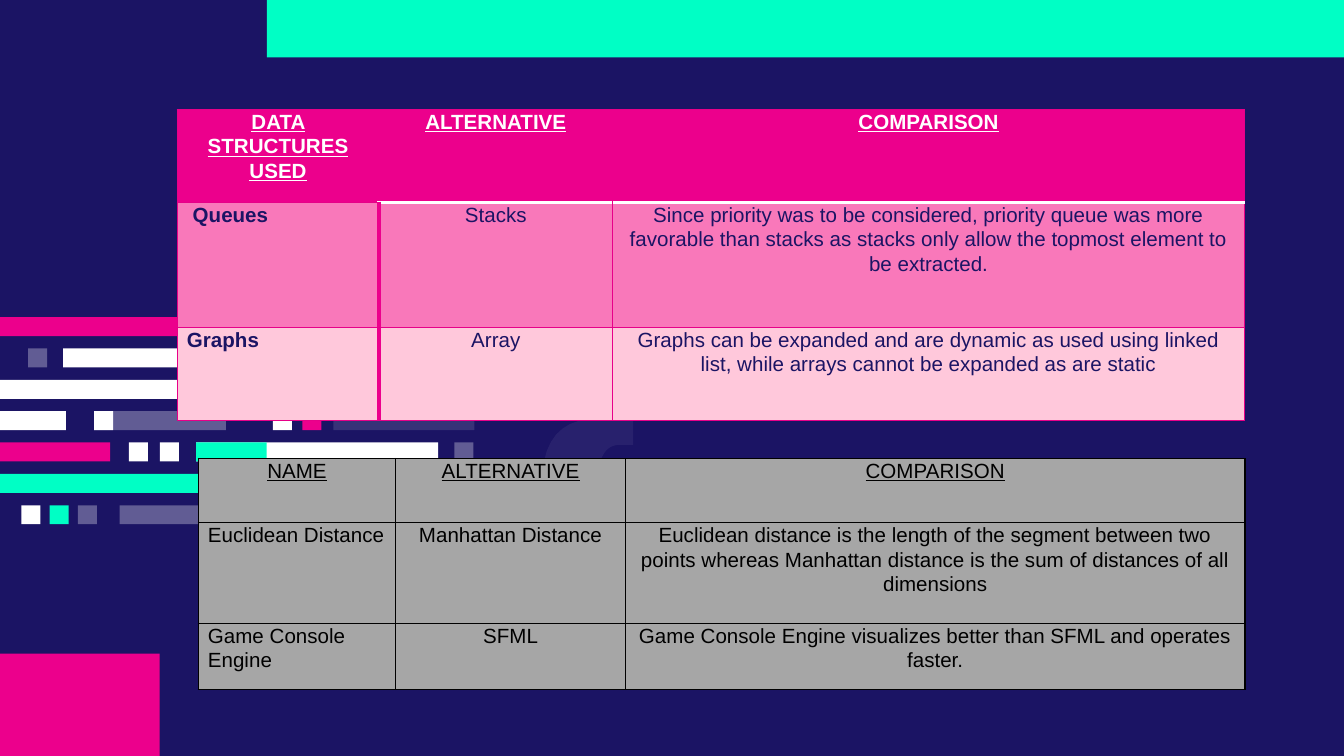
import lxml.etree
import pptx
import pptx.dml.color
import pptx.enum.shapes
import pptx.enum.text
import pptx.oxml.ns
import pptx.util

Pt = pptx.util.Pt

COLORS = {
    "navy": "1B1464", "mint": "00FFC5", "pink": "EC008C", "edge": "E70089",
    "rose": "F978BA", "blush": "FFC8DB", "white": "FFFFFF", "black": "000000",
    "gray": "A6A6A6",
}

# Content
STRUCTURES = [
    ["DATA STRUCTURES USED", "ALTERNATIVE", "COMPARISON"],
    [" Queues", "Stacks",
     "Since priority was to be considered, priority queue was more favorable than "
     "stacks as stacks only allow the topmost element to be extracted."],
    ["Graphs", "Array",
     "Graphs can be expanded and are dynamic as used using linked list, "
     "while arrays cannot be expanded as are static"],
]
ALGORITHMS = [
    ["NAME", "ALTERNATIVE", "COMPARISON"],
    ["Euclidean Distance", "Manhattan Distance",
     "Euclidean distance is the length of the segment between two points whereas "
     "Manhattan distance is the sum of distances of all dimensions"],
    ["Game Console Engine", "SFML",
     "Game Console Engine visualizes better than SFML and operates faster."],
]

# Code-like bars: one list per line of (left, width, color, opacity in percent)
BAR_TOP, BAR_STEP, BAR_SIZE = 169.9, 16.8, 10.2
BAR_LINES = [
    [(0, 166.3, "pink", 100)],
    [(33.8, 129.6, "white", 100), (15.1, BAR_SIZE, "white", 31)],
    [(0, 100.8, "white", 100)],
    [(162, BAR_SIZE, "pink", 100), (146.2, BAR_SIZE, "white", 100),
     (50.4, BAR_SIZE, "white", 100), (178.6, 75.6, "white", 13),
     (50.4, 70.6, "white", 31), (0, 35.3, "white", 100)],
    [(105.1, 129.6, "white", 100), (105.1, 37.8, "mint", 100),
     (0, 59, "pink", 100), (85.7, BAR_SIZE, "white", 100),
     (69.1, BAR_SIZE, "white", 100), (243.4, BAR_SIZE, "white", 31)],
    [(0, 115.9, "mint", 100)],
    [(41.8, BAR_SIZE, "white", 31), (26.6, BAR_SIZE, "mint", 100),
     (11.5, BAR_SIZE, "white", 100), (64.1, 123.1, "white", 31)],
]

# Upper half of the brace: a step of one point is a line, of three a Bezier curve
BRACE_MIDDLE = 225
BRACE_STEPS = [
    [(339.1, 211.7)],
    [(332.6, 211.7)],
    [(328.3, 211.7), (325.4, 210.2), (323.3, 206.6)],
    [(321.1, 203), (319.7, 198.7), (319.7, 192.2)],
    [(319.7, 176.4)],
    [(319.7, 157), (314.6, 142.6), (304.6, 132.5)],
    [(294.5, 121.7), (280.8, 116.6), (262.8, 115.9)],
    [(254.2, 115.9)],
    [(254.2, 143.3)],
    [(262.8, 143.3)],
    [(280.8, 144), (290.2, 153.4), (290.2, 172.1)],
    [(290.2, 189.4)],
    [(290.2, 209.5), (296.6, 221), (310.3, 224.6)],
]


def rgb(name):
    return pptx.dml.color.RGBColor.from_string(COLORS[name])


def paint(shape, color, opacity=100):
    shape.shadow.inherit = False
    shape.fill.solid()
    shape.fill.fore_color.rgb = rgb(color)
    shape.line.fill.background()
    if opacity < 100:
        node = shape.fill._xPr.find(".//" + pptx.oxml.ns.qn("a:srgbClr"))
        alpha = lxml.etree.SubElement(node, pptx.oxml.ns.qn("a:alpha"))
        alpha.set("val", str(opacity * 1000))


def add_bar(slide, left, top, width, height, color, opacity=100):
    kind = pptx.enum.shapes.MSO_SHAPE.RECTANGLE
    shape = slide.shapes.add_shape(kind, Pt(left), Pt(top), Pt(width), Pt(height))
    paint(shape, color, opacity)


def trace(steps, pieces=8):
    points = []
    for step in steps:
        if len(step) == 1:
            points += step
            continue
        curve = [points[-1], *step]
        for piece in range(1, pieces + 1):
            t = piece / pieces
            weights = ((1 - t) ** 3, 3 * t * (1 - t) ** 2, 3 * t * t * (1 - t), t ** 3)
            points.append(tuple(sum(w * point[axis] for w, point in zip(weights, curve))
                                for axis in (0, 1)))
    return points


def add_brace(slide):
    upper = trace(BRACE_STEPS)
    lower = [(x, 2 * BRACE_MIDDLE - y) for x, y in reversed(upper)]
    outline = [(Pt(x), Pt(y)) for x, y in upper + lower]
    builder = slide.shapes.build_freeform(*outline[0])
    builder.add_line_segments(outline[1:], close=True)
    paint(builder.convert_to_shape(), "white", 6)


def write(frame, text, color="black", bold=False, underline=False, centered=True, before=2):
    paragraph = frame.paragraphs[0]
    align = pptx.enum.text.PP_ALIGN
    paragraph.alignment = align.CENTER if centered else align.LEFT
    paragraph.line_spacing = 1.07
    paragraph.space_before = Pt(before)
    run = paragraph.add_run()
    run.text = text
    run.font.name, run.font.size = "Arial", Pt(11)
    run.font.bold, run.font.underline = bold, underline
    run.font.color.rgb = rgb(color)


def set_borders(cell, borders):
    """Borders map L, R, T and B to (color, width), or None for no line."""
    properties = cell._tc.get_or_add_tcPr()
    for index, side in enumerate("LRTB"):
        line = lxml.etree.Element(pptx.oxml.ns.qn("a:ln" + side))
        if borders[side]:
            color, width = borders[side]
            line.set("w", str(int(Pt(width))))
            fill = lxml.etree.SubElement(line, pptx.oxml.ns.qn("a:solidFill"))
            lxml.etree.SubElement(fill, pptx.oxml.ns.qn("a:srgbClr"), val=COLORS[color])
        else:
            line.set("w", "0")
            lxml.etree.SubElement(line, pptx.oxml.ns.qn("a:noFill"))
        properties.insert(index, line)


def add_grid(slide, content, left, top, widths, heights, fills, borders, text_format):
    table = slide.shapes.add_table(len(heights), len(widths), Pt(left), Pt(top),
                                   Pt(sum(widths)), Pt(sum(heights))).table
    table.first_row = table.horz_banding = False
    for column, width in zip(table.columns, widths):
        column.width = Pt(width)
    for row, height in zip(table.rows, heights):
        row.height = Pt(height)
    for i, texts in enumerate(content):
        for j, text in enumerate(texts):
            cell = table.cell(i, j)
            cell.margin_left = cell.margin_right = Pt(5.2)
            cell.margin_top = cell.margin_bottom = 0
            cell.fill.solid()
            cell.fill.fore_color.rgb = rgb(fills[i])
            set_borders(cell, borders(i, j))
            write(cell.text_frame, text, underline=i == 0, centered=i == 0 or j > 0,
                  before=4 if i == 0 else 2, **text_format(i, j))


def pink_borders(i, j):
    sides = dict.fromkeys("LRTB", ("edge", 0.75))
    if i == 0:
        sides["L"] = sides["L"] if j == 0 else None
        sides["R"] = sides["R"] if j == 2 else None
    elif j < 2:
        sides["R" if j == 0 else "L"] = ("pink", 2)
    if i < 2 and j > 0:
        sides["B" if i == 0 else "T"] = ("white", 2)
    return sides


presentation = pptx.Presentation()
presentation.slide_width, presentation.slide_height = Pt(720), Pt(405)
slide = presentation.slides.add_slide(presentation.slide_layouts[6])
slide.background.fill.solid()
slide.background.fill.fore_color.rgb = rgb("navy")

# Decoration
add_bar(slide, 143, 0, 577, 30.7, "mint")
for number, bars in enumerate(BAR_LINES):
    for left, width, color, opacity in bars:
        add_bar(slide, left, BAR_TOP + number * BAR_STEP, width, BAR_SIZE, color, opacity)
add_brace(slide)
add_bar(slide, 0, 350.2, 85.6, 54.8, "pink")

# Tables
add_grid(slide, STRUCTURES, 95, 58.6, [108, 125.3, 338.4], [49.8, 67, 49.8],
         ["pink", "rose", "blush"], pink_borders,
         lambda i, j: {"color": "navy" if i else "white", "bold": i == 0 or j == 0})
add_grid(slide, ALGORITHMS, 106.2, 245.6, [105.8, 123.1, 331.9], [34.3, 54, 35.7],
         ["gray"] * 3, lambda i, j: dict.fromkeys("LRTB", ("black", 0.75)),
         lambda i, j: {})

presentation.save("out.pptx")
